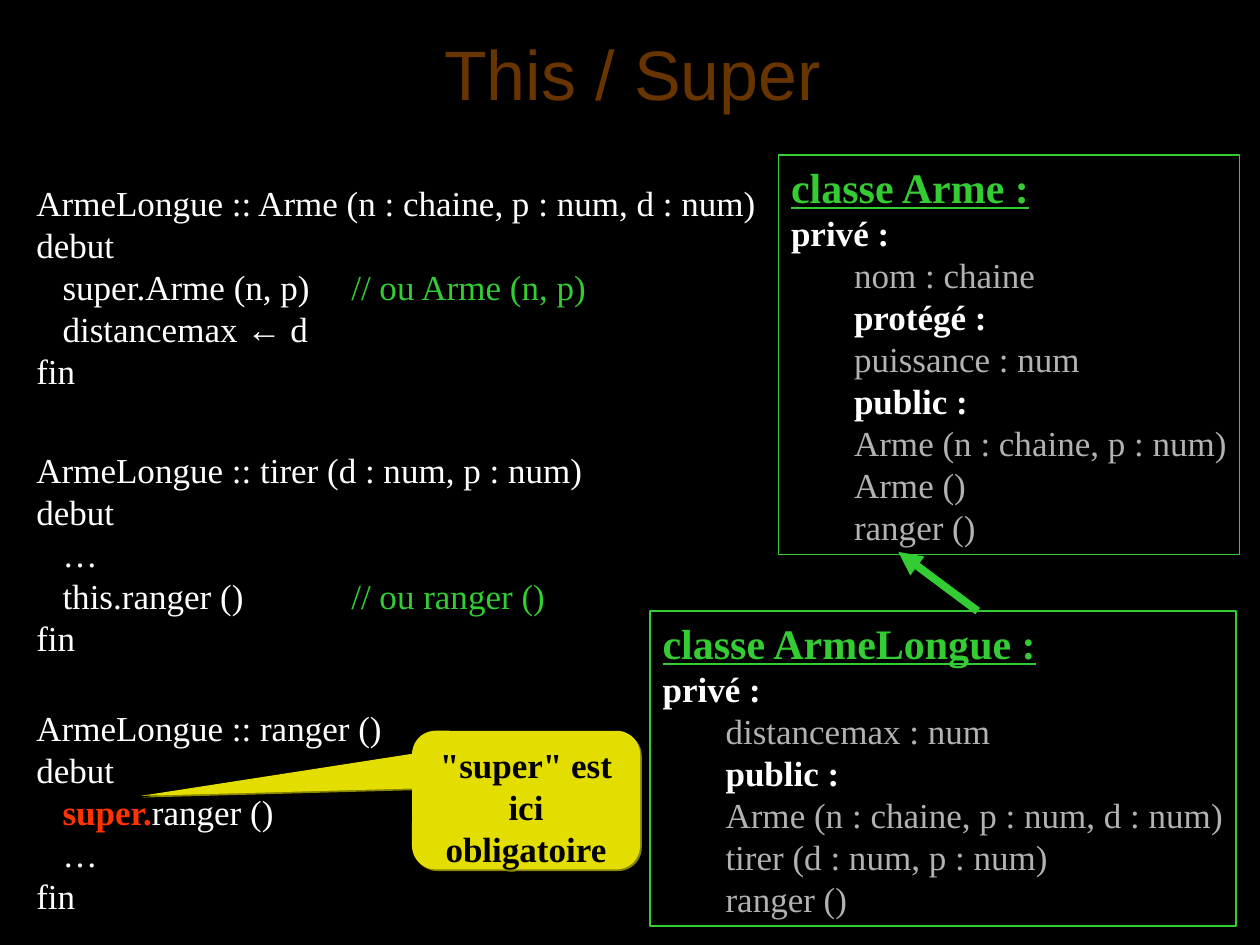
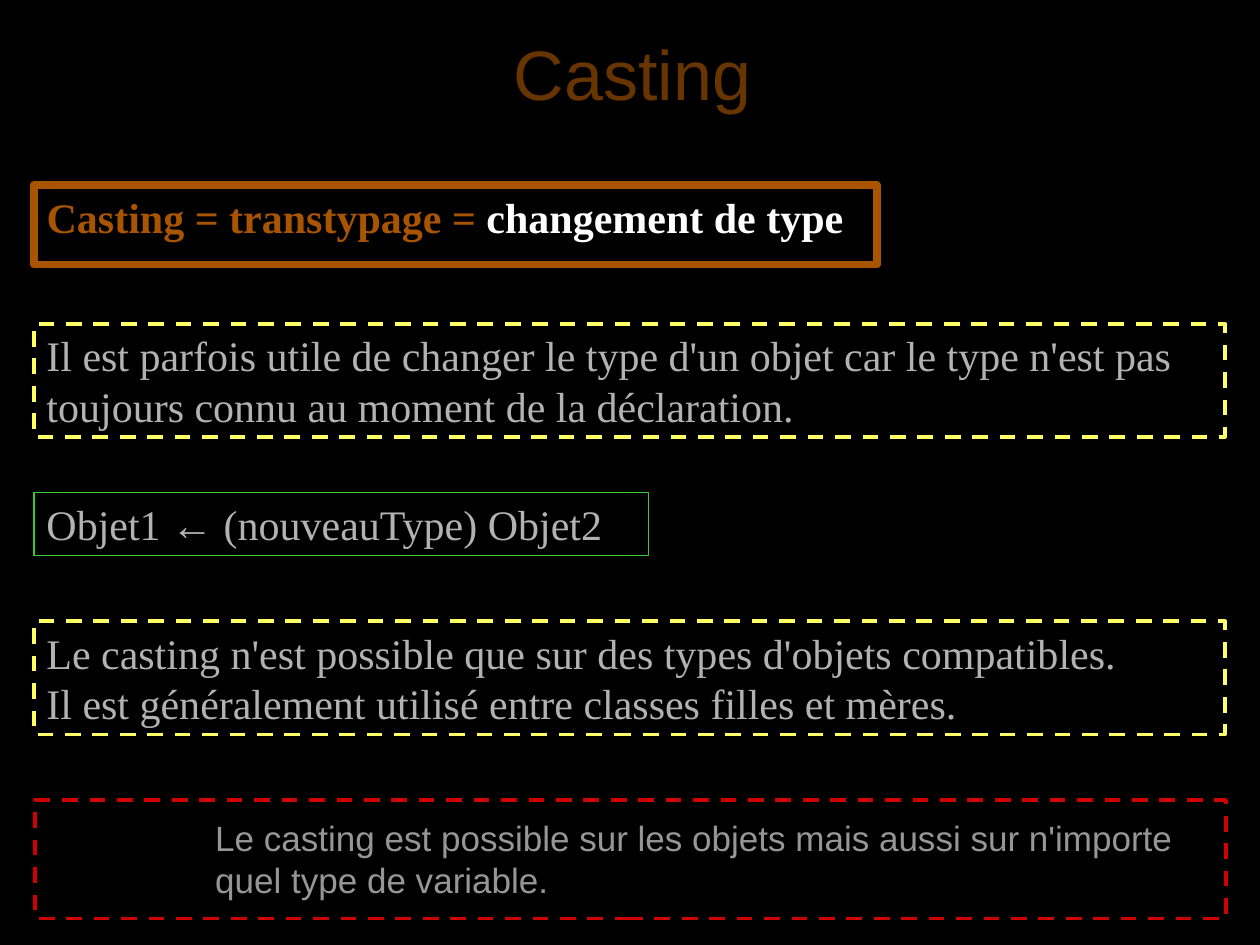
from lxml.etree import SubElement
from pptx import Presentation
from pptx.dml.color import RGBColor
from pptx.enum.dml import MSO_LINE
from pptx.enum.shapes import MSO_CONNECTOR, MSO_SHAPE
from pptx.enum.text import MSO_ANCHOR, MSO_AUTO_SIZE, PP_ALIGN
from pptx.oxml.ns import qn
from pptx.util import Inches, Pt

BLACK, WHITE, GREY, SOFT_GREY = "000000", "FFFFFF", "B2B2B2", "969696"
GREEN, YELLOW, GOLD, GOLD_SHADE = "33CC33", "FFFF66", "E3DE00", "888500"
BROWN, BROWN_SHADE, ORANGE = "683400", "341A00", "A85400"
RED, BRIGHT_RED = "D00000", "FF3300"
SERIF, SANS = "Times New Roman", "Arial"
LINE_PITCH = 1.2
CODE = {"name": SERIF, "size": 20, "color": WHITE}
PROSE = {"name": SERIF, "size": 24, "color": GREY}
COMMENT = {"color": GREEN}
ARROW = {"name": SANS}


def rgb(value):
    return RGBColor.from_string(value)


def box_inches(box):
    return [Inches(length) for length in box]


def add_shadow(properties, color):
    effects = SubElement(properties, qn("a:effectLst"))
    shadow = SubElement(effects, qn("a:outerShdw"), dist=str(Pt(1.4)), dir="2700000", algn="ctr")
    SubElement(shadow, qn("a:srgbClr"), val=color)


def add_run(paragraph, text, style):
    run = paragraph.add_run()
    run.text = text
    for key, value in style.items():
        if key == "color":
            run.font.fill.solid()
            run.font.fill.fore_color.rgb = rgb(value)
        else:
            setattr(run.font, key, Pt(value) if key == "size" else value)
    return run


def write_lines(frame, lines, style, align=PP_ALIGN.LEFT, indents=(), tabs=()):
    for index, pieces in enumerate(lines):
        paragraph = frame.paragraphs[0] if index == 0 else frame.add_paragraph()
        properties = paragraph._p.get_or_add_pPr()
        properties.set("marL", str(Inches(indents[index] if indents else 0)))
        properties.set("indent", "0")
        SubElement(properties, qn("a:buNone"))
        if tabs:
            stops = SubElement(properties, qn("a:tabLst"))
            for stop in tabs:
                SubElement(stops, qn("a:tab"), pos=str(Inches(stop)), algn="l")
        size = (style | pieces[0][1])["size"]
        spacing = {"alignment": align, "space_before": Pt(0), "space_after": Pt(0),
                   "line_spacing": Pt(size * LINE_PITCH)}
        for key, value in spacing.items():
            setattr(paragraph, key, value)
        for text, changes in pieces:
            add_run(paragraph, text, style | changes)


def prepare_frame(shape, wrap=True, auto_size=MSO_AUTO_SIZE.NONE):
    frame = shape.text_frame
    layout = {"word_wrap": wrap, "auto_size": auto_size, "vertical_anchor": MSO_ANCHOR.TOP,
              "margin_left": Inches(0.1), "margin_right": Inches(0.1),
              "margin_top": Inches(0.05), "margin_bottom": Inches(0.05)}
    for key, value in layout.items():
        setattr(frame, key, value)
    return frame


def place(shape, box):
    for key, value in zip(("left", "top", "width", "height"), box_inches(box)):
        setattr(shape, key, value)


def outline(shape, color, width, dash=None):
    shape.line.color.rgb = rgb(color)
    shape.line.width = Pt(width)
    if dash:
        shape.line.dash_style = dash


def add_frame(slide, box, color, width, dash=None):
    border = slide.shapes.add_shape(MSO_SHAPE.RECTANGLE, *box_inches(box))
    border.shadow.inherit = False
    border.fill.background()
    outline(border, color, width, dash)
    return border


def add_titled_slide(deck, layout_index, heading):
    slide = deck.slides.add_slide(deck.slide_layouts[layout_index])
    title = slide.shapes.title
    place(title, (0.27, 0.13, 9.5, 0.89))
    frame = title.text_frame
    frame.auto_size = MSO_AUTO_SIZE.NONE
    frame.vertical_anchor = MSO_ANCHOR.MIDDLE
    paragraph = frame.paragraphs[0]
    paragraph.alignment = PP_ALIGN.CENTER
    run = add_run(paragraph, heading, {"size": 40, "color": BROWN})
    add_shadow(run._r.get_or_add_rPr(), BROWN_SHADE)
    run.font.name = SANS
    return slide


def add_class_box(slide, box, heading, members):
    border = add_frame(slide, box, GREEN, 0.75)
    frame = prepare_frame(border, wrap=False, auto_size=MSO_AUTO_SIZE.SHAPE_TO_FIT_TEXT)
    lines = [[(heading, {"size": 24, "color": GREEN, "bold": True, "underline": True})]]
    for member in members:
        visibility = member.endswith(" :")
        lines.append([(member, {"bold": visibility, "color": WHITE if visibility else GREY})])
    write_lines(frame, lines, CODE, indents=[0, 0] + [0.5] * (len(members) - 1))


def add_method(slide, box, lines):
    method = slide.shapes.add_textbox(*box_inches(box))
    frame = prepare_frame(method, wrap=False, auto_size=MSO_AUTO_SIZE.SHAPE_TO_FIT_TEXT)
    write_lines(frame, lines, CODE, tabs=(1, 2, 3))


def add_inheritance_arrow(slide, start, end):
    arrow = slide.shapes.add_connector(MSO_CONNECTOR.STRAIGHT, *box_inches(start + end))
    outline(arrow, GREEN, 4.5)
    SubElement(arrow.line._get_or_add_ln(), qn("a:tailEnd"), type="triangle")
    SubElement(arrow._element.spPr, qn("a:effectLst"))


def add_callout(slide, box, remark):
    callout = slide.shapes.add_shape(MSO_SHAPE.ROUNDED_RECTANGULAR_CALLOUT, *box_inches(box))
    for index, value in enumerate((-1.69, -0.03, 0.17)):
        callout.adjustments[index] = value
    callout.fill.solid()
    callout.fill.fore_color.rgb = rgb(GOLD)
    callout.line.fill.background()
    add_shadow(callout._element.spPr, GOLD_SHADE)
    write_lines(prepare_frame(callout), [[(remark, {"color": BLACK, "bold": True})]],
                CODE, PP_ALIGN.CENTER)


def add_definition(slide, box):
    definition = slide.placeholders[1]
    place(definition, box)
    outline(definition, ORANGE, 4.5)
    write_lines(prepare_frame(definition),
                [[("Casting = transtypage = ", {"color": ORANGE}), ("changement de type", {})]],
                PROSE | {"color": WHITE, "bold": True})


def add_prose_box(slide, box, lines, color=YELLOW, width=2.25, dash=MSO_LINE.DASH):
    write_lines(prepare_frame(add_frame(slide, box, color, width, dash)), lines, PROSE)


def add_closing_note(slide, box, note):
    left, top, width, height = box
    add_frame(slide, box, RED, 2.25, MSO_LINE.DASH)
    text_box = (left + 1.33, top + 0.08, width - 1.5, height - 0.17)
    note_area = slide.shapes.add_textbox(*box_inches(text_box))
    write_lines(prepare_frame(note_area), [[(note, {})]],
                {"name": SANS, "size": 20, "color": SOFT_GREY})


def build_this_super(deck):
    slide = add_titled_slide(deck, 5, "This / Super")
    add_class_box(slide, (6.18, 1.23, 3.66, 3.17), "classe Arme :", [
        "privé :", "nom : chaine", "protégé :", "puissance : num", "public :",
        "Arme (n : chaine, p : num)", "Arme ()", "ranger ()"])
    add_class_box(slide, (5.16, 4.85, 4.65, 2.5), "classe ArmeLongue :", [
        "privé :", "distancemax : num", "public :", "Arme (n : chaine, p : num, d : num)",
        "tirer (d : num, p : num)", "ranger ()"])
    add_inheritance_arrow(slide, (7.76, 4.85), (7.13, 4.38))
    begin, end, rest = [("debut", {})], [("fin", {})], [("   …", {})]
    add_method(slide, (0.19, 1.39, 5.93, 1.77), [
        [("ArmeLongue :: Arme (n : chaine, p : num, d : num)", {})], begin,
        [("   super.Arme (n, p)\t", {}), ("// ou Arme (n, p)", COMMENT)],
        [("   distancemax ", {}), ("←", ARROW), (" d", {})], end])
    add_method(slide, (0.19, 3.51, 4.74, 1.77), [
        [("ArmeLongue :: tirer (d : num, p : num)", {})], begin, rest,
        [("   this.ranger ()\t\t", {}), ("// ou ranger ()", COMMENT)], end])
    add_method(slide, (0.19, 5.56, 2.94, 1.77), [
        [("ArmeLongue :: ranger ()", {})], begin,
        [("   ", {}), ("super.", {"color": BRIGHT_RED, "bold": True}), ("ranger ()", {})],
        rest, end])
    add_callout(slide, (3.27, 5.8, 1.81, 1.1), '"super" est ici obligatoire')


def build_casting(deck):
    slide = add_titled_slide(deck, 1, "Casting")
    add_definition(slide, (0.27, 1.47, 6.69, 0.63))
    add_prose_box(slide, (0.27, 2.57, 9.45, 0.9), [[(
        "Il est parfois utile de changer le type d'un objet car le type n'est pas "
        "toujours connu au moment de la déclaration.", {})]])
    add_prose_box(slide, (0.27, 3.91, 4.88, 0.5), [[
        ("Objet1 ", {}), ("←", ARROW), (" (nouveauType) Objet2", {})]], GREEN, 0.75, None)
    add_prose_box(slide, (0.27, 4.93, 9.45, 0.9), [
        [("Le casting n'est possible que sur des types d'objets compatibles.", {})],
        [("Il est généralement utilisé entre classes filles et mères.", {})]])
    add_closing_note(slide, (0.28, 6.35, 9.45, 0.94),
                     "Le casting est possible sur les objets mais aussi sur n'importe "
                     "quel type de variable.")


def main():
    deck = Presentation()
    deck.slide_width, deck.slide_height = Inches(10), Inches(7.5)
    background = deck.slide_master.background.fill
    background.solid()
    background.fore_color.rgb = rgb(BLACK)
    build_this_super(deck)
    build_casting(deck)
    deck.save("out.pptx")


if __name__ == "__main__":
    main()
